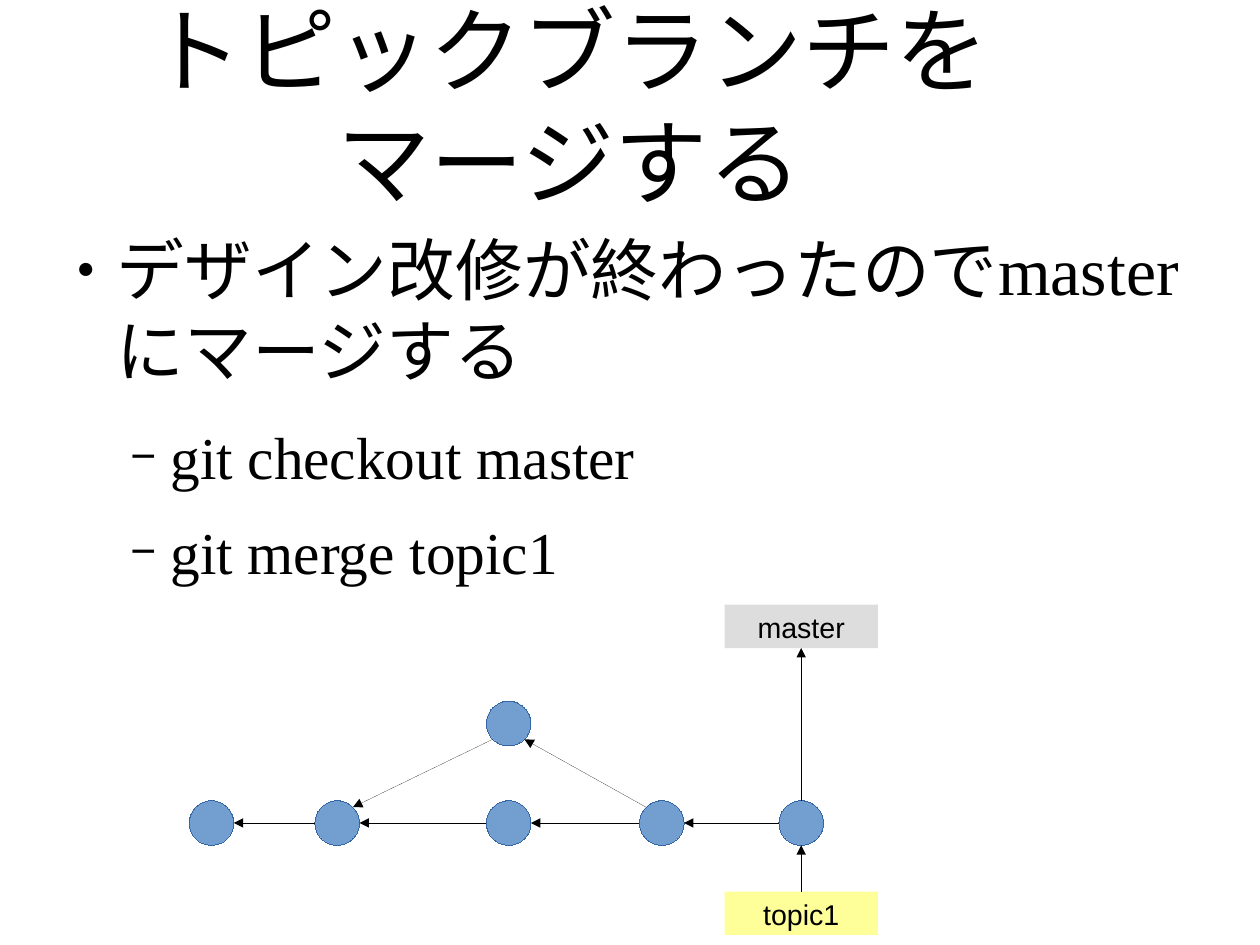
from math import sqrt

from lxml import etree
from pptx import Presentation
from pptx.dml.color import RGBColor
from pptx.enum.shapes import MSO_CONNECTOR, MSO_SHAPE
from pptx.enum.text import MSO_ANCHOR, PP_ALIGN
from pptx.oxml.ns import qn
from pptx.util import Cm, Inches, Pt

STRAIGHT = MSO_CONNECTOR.STRAIGHT
OVAL, RECT = MSO_SHAPE.OVAL, MSO_SHAPE.RECTANGLE
TOP, MIDDLE = MSO_ANCHOR.TOP, MSO_ANCHOR.MIDDLE
CENTER, LEFT = PP_ALIGN.CENTER, PP_ALIGN.LEFT

# Content
TITLE = "トピックブランチをマージする"
BODY = [  # text, level
    ("デザイン改修が終わったのでmasterにマージする", 0),
    ("git checkout master", 1),
    ("git merge topic1", 1),
]
COMMITS = {  # centre of each commit
    "first": (1.85, 7.2),
    "base": (2.95, 7.2),
    "topic": (4.45, 7.2),
    "hotfix": (4.45, 6.33),
    "merge": (5.79, 7.2),
    "latest": (7.01, 7.2),
}
PARENTS = [  # child, parent
    ("base", "first"),
    ("topic", "base"),
    ("hotfix", "base"),
    ("merge", "topic"),
    ("merge", "hotfix"),
    ("latest", "merge"),
]
BRANCHES = {"master": (5.29, "master"), "topic1": (7.8, "topic")}  # top, fill

THEME = {
    "serif": "Times New Roman",
    "sans": "Arial",
    "text": "000000",
    "commit": "729FCF",
    "commit_edge": "3465A4",
    "master": "DDDDDD",
    "topic": "FFFF99",
    "title_size": 58.7,
    "label_size": 18,
    "line_height": 1.2,
}
LEVELS = [  # size, space after, indent, bullet, bullet size in percent
    (42.7, 18.9, 0.47, "●", 45),
    (37.4, 15, 0.94, "−", 75),
]
HANGING = 0.35
RADIUS = 0.195
LABEL_W, LABEL_H = 1.34, 0.38


def color(name):
    return RGBColor.from_string(THEME[name])


def style_paragraph(paragraph, font_name, size, align):
    paragraph.alignment = align
    for run in paragraph.runs:
        run.font.name = THEME[font_name]
        run.font.size = Pt(size)
        run.font.color.rgb = color("text")
        east_asian = etree.SubElement(run.font._element, qn("a:ea"))
        east_asian.set("typeface", THEME["sans"])


def add_text_area(slide, left, top, width, height, anchor):
    area = slide.shapes.add_textbox(*map(Inches, (left, top, width, height)))
    frame = area.text_frame
    frame.word_wrap = True
    frame.vertical_anchor = anchor
    frame.margin_left = frame.margin_right = 0
    frame.margin_top = frame.margin_bottom = 0
    return frame


def add_bullet(paragraph, indent, char, percent):
    props = paragraph._p.get_or_add_pPr()
    props.set("marL", str(Inches(indent)))
    props.set("indent", str(-Inches(HANGING)))
    bullet_color = etree.SubElement(props, qn("a:buClr"))
    etree.SubElement(bullet_color, qn("a:srgbClr")).set("val", THEME["text"])
    etree.SubElement(props, qn("a:buSzPct")).set("val", str(percent * 1000))
    etree.SubElement(props, qn("a:buFont")).set("typeface", THEME["sans"])
    etree.SubElement(props, qn("a:buChar")).set("char", char)


def add_filled(slide, preset, left, top, width, height, fill):
    shape = slide.shapes.add_shape(preset, *map(Inches, (left, top, width, height)))
    shape.shadow.inherit = False
    shape.fill.solid()
    shape.fill.fore_color.rgb = color(fill)
    return shape


def set_hairline(line, color_name):
    line.color.rgb = color(color_name)
    outline = line._get_or_add_ln()
    outline.set("w", "0")
    return outline


def add_arrow(slide, start, end):
    arrow = slide.shapes.add_connector(STRAIGHT, *map(Inches, (*start, *end)))
    outline = set_hairline(arrow.line, "text")
    etree.SubElement(outline, qn("a:tailEnd")).set("type", "triangle")
    etree.SubElement(arrow._element.spPr, qn("a:effectLst"))


def edge_point(center, toward):
    """Point of a commit's circle, in one of eight directions, facing another commit."""
    signs = [(b > a) - (b < a) for a, b in zip(center, toward)]
    reach = RADIUS / sqrt(sum(map(abs, signs)))
    return [c + s * reach for c, s in zip(center, signs)]


def main():
    prs = Presentation()
    prs.slide_width, prs.slide_height = Cm(28), Cm(21)
    slide = prs.slides.add_slide(prs.slide_layouts[6])

    # Title
    frame = add_text_area(slide, 0.55, 0.31, 8.86, 1.21, MIDDLE)
    frame.text = TITLE
    heading = frame.paragraphs[0]
    style_paragraph(heading, "serif", THEME["title_size"], CENTER)
    heading.line_spacing = Pt(THEME["title_size"] * THEME["line_height"])

    # Steps
    frame = add_text_area(slide, 0.55, 1.99, 9.92, 4.79, TOP)
    frame.text = "\n".join(text for text, _ in BODY)
    for step, (_, level) in zip(frame.paragraphs, BODY):
        size, after, indent, char, percent = LEVELS[level]
        step.level = level
        step.space_after = Pt(after)
        step.line_spacing = Pt(size * THEME["line_height"])
        style_paragraph(step, "serif", size, LEFT)
        add_bullet(step, indent, char, percent)

    # Commits
    for x, y in COMMITS.values():
        commit = add_filled(slide, OVAL, x - RADIUS, y - RADIUS,
                            2 * RADIUS, 2 * RADIUS, "commit")
        set_hairline(commit.line, "commit_edge")

    # Arrows to parents
    for child, parent in PARENTS:
        start, end = COMMITS[child], COMMITS[parent]
        add_arrow(slide, edge_point(start, end), edge_point(end, start))

    # Branch labels
    x, y = COMMITS["latest"]
    for branch, (top, fill) in BRANCHES.items():
        label = add_filled(slide, RECT, x - LABEL_W / 2, top, LABEL_W, LABEL_H, fill)
        label.line.fill.background()
        label.text_frame.text = branch
        label.text_frame.vertical_anchor = TOP
        style_paragraph(label.text_frame.paragraphs[0], "sans", THEME["label_size"], CENTER)

    # Arrows between the latest commit and its branches
    add_arrow(slide, (x, y - RADIUS), (x, BRANCHES["master"][0] + LABEL_H))
    add_arrow(slide, (x, BRANCHES["topic1"][0]), (x, y + RADIUS))

    prs.save("out.pptx")


if __name__ == "__main__":
    main()
